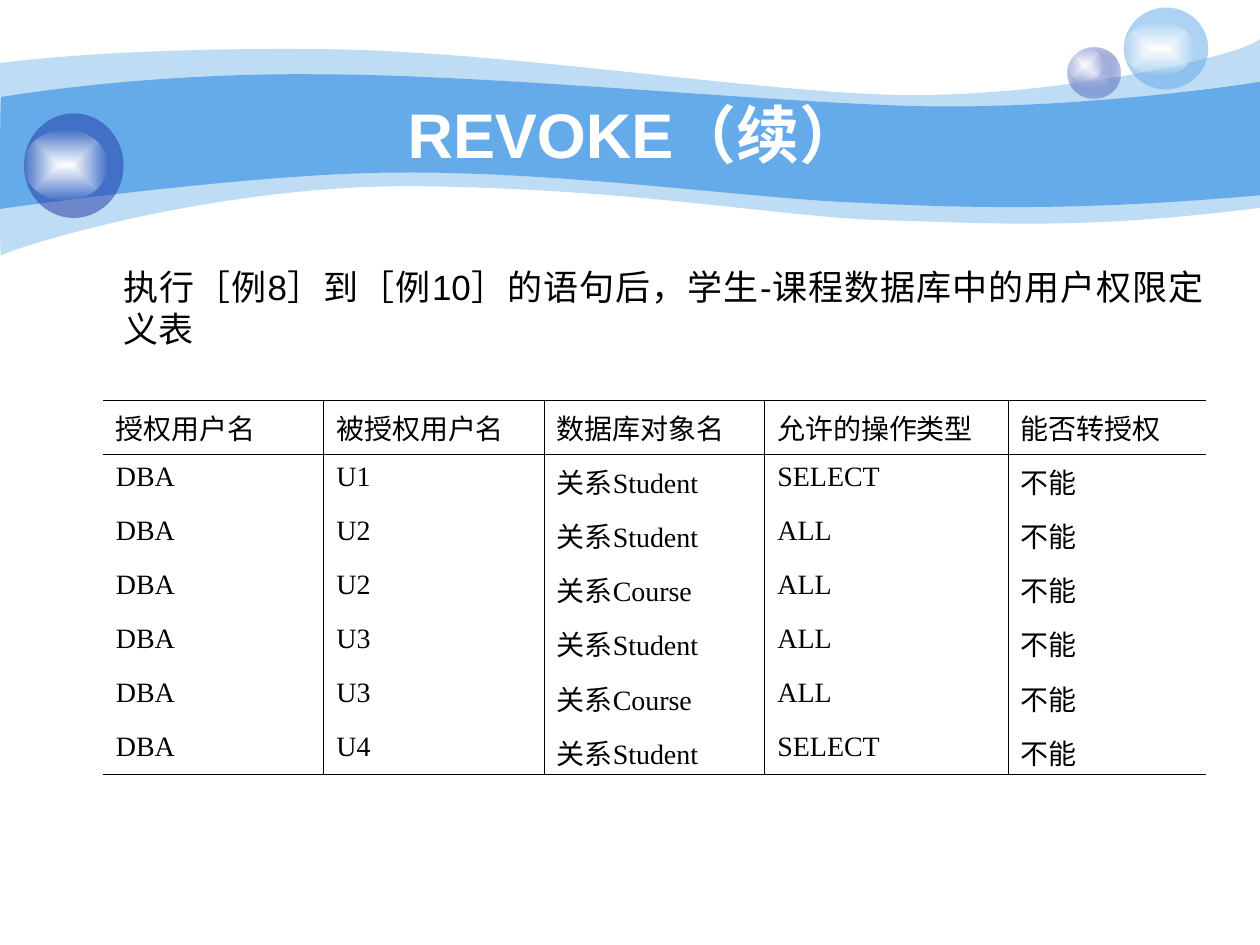
from lxml.etree import SubElement
from pptx import Presentation
from pptx.dml.color import RGBColor
from pptx.enum.shapes import MSO_SHAPE
from pptx.enum.text import MSO_ANCHOR, PP_ALIGN
from pptx.oxml import parse_xml
from pptx.oxml.ns import nsdecls, qn
from pptx.util import Inches, Pt

COLORS = {"sky": "65AAE9", "navy": "233DA9", "mist": "C7CEE9",
          "white": "FFFFFF", "black": "000000"}

TITLE = "REVOKE（续）"
INTRO = "执行［例8］到［例10］的语句后，学生-课程数据库中的用户权限定义表"
HEADER = ["授权用户名", "被授权用户名", "数据库对象名", "允许的操作类型", "能否转授权"]
GRANTS = [("U1", "Student", "SELECT"), ("U2", "Student", "ALL"),
          ("U2", "Course", "ALL"), ("U3", "Student", "ALL"),
          ("U3", "Course", "ALL"), ("U4", "Student", "SELECT")]
ROWS = [HEADER] + [["DBA", user, "关系" + relation, operation, "不能"]
                   for user, relation, operation in GRANTS]
COLUMN_WIDTHS = [1.75, 1.75, 1.75, 1.93, 1.57]
ROW_HEIGHTS = [0.43] * 6 + [0.39]

# Waves: opacity, start, then straight lines (1 point) and Bezier curves (3 points)
WAVES = [
    (41, (0, 0.5), [
        [(0.24, 0.47), (1.07, 0.38), (2.47, 0.39)],
        [(3.86, 0.39), (5.75, 0.7), (6.99, 0.75)],
        [(8.22, 0.8), (9.8, 0.47), (10, 0.31)],
        [(10, 1.65)],
        [(8.58, 1.83), (7.87, 1.77), (7.05, 1.75)],
        [(6.22, 1.73), (5.15, 1.51), (3.43, 1.48)],
        [(1.72, 1.44), (0.04, 1.99), (0.01, 2.03)],
        [(-0.01, 2.08), (0, 0.75), (0, 0.5)]]),
    (100, (0.01, 0.77), [
        [(0.02, 0.77), (1.1, 0.58), (2.48, 0.59)],
        [(3.86, 0.59), (5.95, 0.8), (7.18, 0.84)],
        [(8.41, 0.88), (9.76, 0.69), (10, 0.65)],
        [(10, 1.55)],
        [(8.53, 1.68), (7.65, 1.65), (6.82, 1.61)],
        [(5.99, 1.58), (4.47, 1.36), (3.17, 1.37)],
        [(2.03, 1.37), (-0.02, 1.66), (-0.01, 1.66)],
        [(0, 1.66), (0, 0.77), (0.01, 0.77)]]),
]

# Bubbles: ball box, ball stops (colour, opacity), highlight box
BUBBLES = [
    ((8.47, 0.38, 0.42, 0.4), [("mist", 100), ("navy", 31)], (8.47, 0.38, 0.28, 0.27)),
    ((8.92, 0.06, 0.67, 0.65), [("sky", 53)], (8.92, 0.17, 0.56, 0.43)),
    ((0.19, 0.9, 0.79, 0.83), [("navy", 53)], (0.19, 1.03, 0.66, 0.56)),
]
HIGHLIGHT = [("white", 100), ("white", 0)]


def rgb(name):
    return RGBColor.from_string(COLORS[name])


def place(box):
    return [Inches(value) for value in box]


def paint(shape, stops):
    """Fill with one colour, or with two running from the centre outwards."""
    shape.shadow.inherit = False
    shape.line.fill.background()
    if len(stops) == 1:
        name, opacity = stops[0]
        shape.fill.solid()
        shape.fill.fore_color.rgb = rgb(name)
        if opacity < 100:
            color = shape.element.spPr.find(qn("a:solidFill"))[0]
            SubElement(color, qn("a:alpha"), val=str(opacity * 1000))
        return
    shape.fill.background()
    marks = "".join(
        f'<a:gs pos="{i * 100000}"><a:srgbClr val="{COLORS[name]}">'
        f'<a:alpha val="{opacity * 1000}"/></a:srgbClr></a:gs>'
        for i, (name, opacity) in enumerate(stops))
    gradient = parse_xml(
        f'<a:gradFill {nsdecls("a")} rotWithShape="1"><a:gsLst>{marks}</a:gsLst>'
        '<a:path path="rect"><a:fillToRect l="50000" t="50000" r="50000" b="50000"/>'
        '</a:path></a:gradFill>')
    properties = shape.element.spPr
    properties.replace(properties.find(qn("a:noFill")), gradient)


def add_wave(slide, start, pieces):
    """Draw through every point, then join each three points into a curve."""
    builder = slide.shapes.build_freeform(*place(start), scale=1.0)
    builder.add_line_segments([place(point) for piece in pieces for point in piece],
                              close=True)
    wave = builder.convert_to_shape()
    segments = iter(list(wave.element.spPr.iter(qn("a:lnTo"))))
    for piece in pieces:
        lines = [next(segments) for _ in piece]
        if len(lines) == 3:
            curve = parse_xml(f'<a:cubicBezTo {nsdecls("a")}/>')
            lines[0].addprevious(curve)
            for line in lines:
                curve.append(line[0])
                line.getparent().remove(line)
    return wave


def set_font(paragraph, face, size, color, bold=False):
    font = paragraph.font
    font.name, font.size, font.bold = face, Pt(size), bold
    font.color.rgb = rgb(color)


def set_borders(cell, sides):
    properties = cell._tc.get_or_add_tcPr()
    for index, side in enumerate("LRTB"):
        fill = (f'<a:solidFill><a:srgbClr val="{COLORS["black"]}"/></a:solidFill>'
                if side in sides else "<a:noFill/>")
        properties.insert(index, parse_xml(
            f'<a:ln{side} {nsdecls("a")} w="{Pt(0.45)}">{fill}</a:ln{side}>'))


def add_background(slide):
    for opacity, start, pieces in WAVES:
        paint(add_wave(slide, start, pieces), [("sky", opacity)])
    for ball, stops, shine in BUBBLES:
        for box, colors in ((ball, stops), (shine, HIGHLIGHT)):
            paint(slide.shapes.add_shape(MSO_SHAPE.OVAL, *place(box)), colors)


def add_title(slide):
    title = slide.shapes.title
    title.element.getparent().append(title.element)  # in front of the waves
    title.left, title.top, title.width, title.height = place((1, 0.75, 8.08, 0.62))
    title.text_frame.text = TITLE
    title.text_frame.vertical_anchor = MSO_ANCHOR.MIDDLE
    heading = title.text_frame.paragraphs[0]
    heading.alignment = PP_ALIGN.CENTER
    set_font(heading, "Arial", 36, "white", bold=True)


def add_intro(slide):
    frame = slide.shapes.add_textbox(*place((0.5, 2, 9.15, 1.2))).text_frame
    frame.word_wrap = True
    frame.margin_left, frame.margin_top = Inches(0.48), Inches(0.11)
    frame.text = INTRO
    intro = frame.paragraphs[0]
    intro.alignment = PP_ALIGN.JUSTIFY
    set_font(intro, "Arial", 20, "black")


def add_grants(slide):
    box = (0.82, 3.18, sum(COLUMN_WIDTHS), sum(ROW_HEIGHTS))
    grants = slide.shapes.add_table(len(ROWS), len(HEADER), *place(box)).table
    grants.first_row = grants.horz_banding = False
    for column, width in zip(grants.columns, COLUMN_WIDTHS):
        column.width = Inches(width)
    for row, height in zip(grants.rows, ROW_HEIGHTS):
        row.height = Inches(height)
    last_row, last_column = len(ROWS) - 1, len(HEADER) - 1
    for r, values in enumerate(ROWS):
        for c, value in enumerate(values):
            cell = grants.cell(r, c)
            cell.text = value
            cell.fill.background()
            set_font(cell.text_frame.paragraphs[0], "Times New Roman", 16, "black")
            # Rules between columns, around the header and under the last row
            rules = {"L": c > 0, "R": c < last_column,
                     "T": r <= 1, "B": r in (0, last_row)}
            set_borders(cell, [side for side, drawn in rules.items() if drawn])


def main():
    deck = Presentation()
    deck.slide_width, deck.slide_height = Inches(10), Inches(7.5)
    slide = deck.slides.add_slide(deck.slide_layouts[5])
    add_background(slide)
    add_title(slide)
    add_intro(slide)
    add_grants(slide)
    deck.save("out.pptx")


if __name__ == "__main__":
    main()
